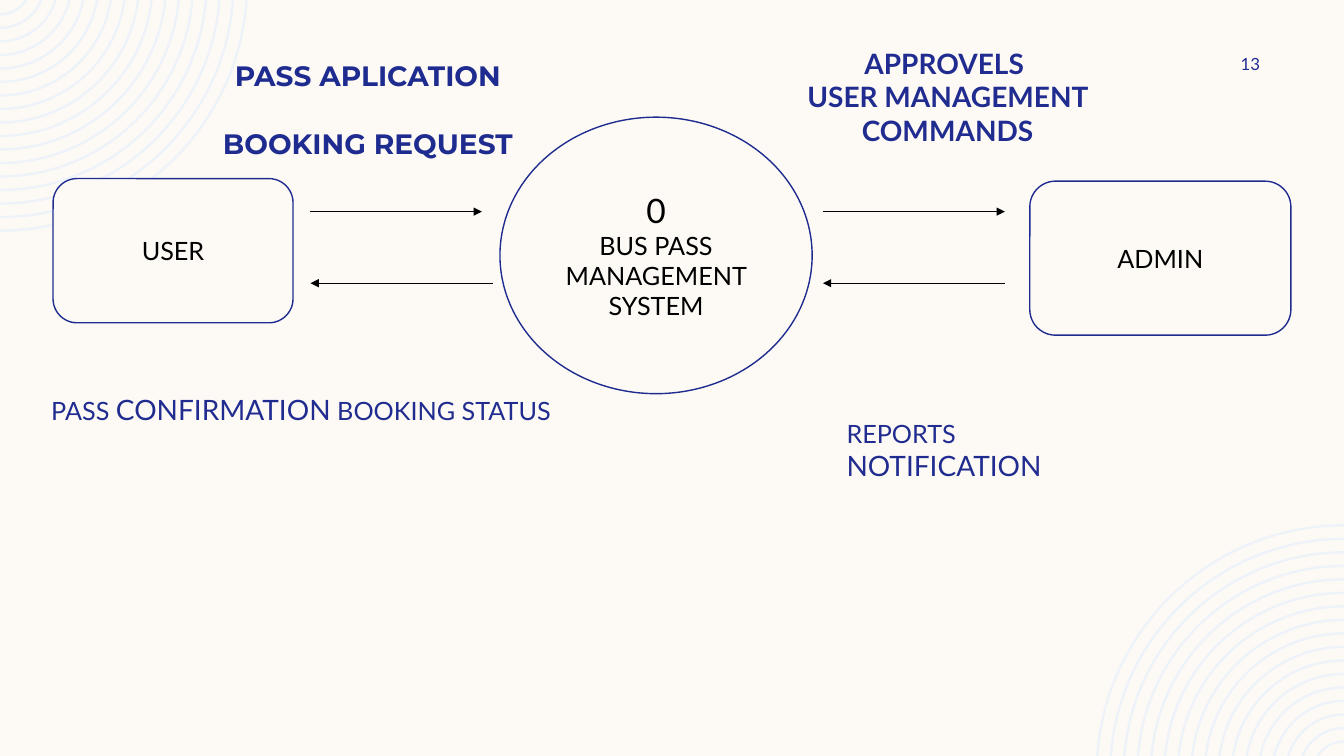
from dataclasses import dataclass
from math import asin, cos, pi, sin, tan

from lxml.etree import Element, SubElement
from pptx import Presentation
from pptx.dml.color import RGBColor
from pptx.enum.shapes import MSO_CONNECTOR, MSO_SHAPE
from pptx.enum.text import MSO_ANCHOR, MSO_AUTO_SIZE, PP_ALIGN
from pptx.oxml.ns import qn
from pptx.slide import Slide
from pptx.text.text import TextFrame
from pptx.util import Pt

WIDTH, HEIGHT = 960, 540
CREAM, NAVY, BLUE, BLACK, PALE = "FDFAF6", "1F2C8F", "202C8F", "000000", "EEF3FA"


@dataclass
class Run:
    text: str
    size: float
    color: str = BLUE
    bold: bool = False
    font: str = "Lato"


@dataclass
class Box:
    left: float
    top: float
    width: float
    height: float


@dataclass
class Node:
    box: Box
    outline: MSO_SHAPE
    paragraphs: list[list[Run]]


@dataclass
class Label:
    box: Box
    paragraphs: list[list[Run]]
    align: PP_ALIGN = PP_ALIGN.LEFT
    anchor: MSO_ANCHOR = MSO_ANCHOR.TOP
    line_spacing: float | None = None
    right_inset: float = 7.2
    grows: bool = False


@dataclass
class Arrow:
    start: float
    end: float
    y: float


def rgb(color: str) -> RGBColor:
    return RGBColor.from_string(color)


def write(frame: TextFrame, paragraphs: list[list[Run]], align: PP_ALIGN,
          anchor: MSO_ANCHOR, line_spacing: float | None = None) -> None:
    frame.word_wrap = True
    frame.vertical_anchor = anchor
    for index, runs in enumerate(paragraphs):
        paragraph = frame.add_paragraph() if index else frame.paragraphs[0]
        paragraph.alignment = align
        if line_spacing:
            paragraph.line_spacing = Pt(line_spacing)
        for item in runs:
            run = paragraph.add_run()
            run.text = item.text
            run.font.name = item.font
            run.font.size = Pt(item.size)
            run.font.bold = item.bold
            run.font.color.rgb = rgb(item.color)


def bend(side: Element, handles: list[tuple[float, float]]) -> None:
    """Turn a straight side into a curve; each handle is an offset from its end point."""
    ends = [side.getprevious()[-1], side[0]]
    side.tag = qn("a:cubicBezTo")
    for index, (end, (dx, dy)) in enumerate(zip(ends, handles)):
        control = Element(qn("a:pt"), x=str(int(end.get("x")) + Pt(dx)),
                          y=str(int(end.get("y")) + Pt(dy)))
        side.insert(index, control)


def draw_rings(slide: Slide, opposite_corner: bool) -> None:
    """Concentric arcs around a point just outside a slide corner."""
    center_y, outer_radius, step, thickness, count = -11.8, 177.4, 9.65, 1.75, 17
    sign = -1 if opposite_corner else 1
    corner_x, corner_y = (WIDTH, HEIGHT) if opposite_corner else (0, 0)

    def place(radius: float, angle: float) -> tuple[int, int]:
        return (Pt(corner_x + sign * radius * cos(angle)),
                Pt(corner_y + sign * (center_y + radius * sin(angle))))

    builder = None
    curves = []
    for ring in range(count):
        outer = outer_radius - ring * step
        corners = []
        for radius in (outer, outer - thickness):
            first = asin(-center_y / radius)
            reach = sign * radius * 4 / 3 * tan((pi / 2 - first) / 4)
            corners.append([place(radius, first), place(radius, pi / 2)])
            curves.append([(-reach * sin(first), reach * cos(first)), (reach, 0)])
        start, *others = corners[0] + corners[1][::-1]
        if builder is None:
            builder = slide.shapes.build_freeform(*start)
        else:
            builder.move_to(*start)
        builder.add_line_segments(others, close=True)
    rings = builder.convert_to_shape()

    # Of three sides per ring, the first and third are arcs
    sides = list(rings._element.iter(qn("a:lnTo")))
    for ring in range(count):
        bend(sides[3 * ring], curves[2 * ring])
        bend(sides[3 * ring + 2], curves[2 * ring + 1][::-1])
    rings.shadow.inherit = False
    rings.fill.solid()
    rings.fill.fore_color.rgb = rgb(PALE)
    rings.line.fill.background()


def draw_node(slide: Slide, node: Node) -> None:
    box = node.box
    shape = slide.shapes.add_shape(
        node.outline, Pt(box.left), Pt(box.top), Pt(box.width), Pt(box.height))
    shape.shadow.inherit = False
    shape.fill.solid()
    shape.fill.fore_color.rgb = rgb(CREAM)
    shape.line.color.rgb = rgb(NAVY)
    shape.line.width = Pt(1)
    write(shape.text_frame, node.paragraphs, PP_ALIGN.CENTER, MSO_ANCHOR.MIDDLE)


def draw_label(slide: Slide, label: Label) -> None:
    box = label.box
    frame = slide.shapes.add_textbox(
        Pt(box.left), Pt(box.top), Pt(box.width), Pt(box.height)).text_frame
    frame.margin_right = Pt(label.right_inset)
    write(frame, label.paragraphs, label.align, label.anchor, label.line_spacing)
    if label.grows:
        frame.auto_size = MSO_AUTO_SIZE.SHAPE_TO_FIT_TEXT


def draw_arrow(slide: Slide, arrow: Arrow) -> None:
    connector = slide.shapes.add_connector(
        MSO_CONNECTOR.STRAIGHT, Pt(arrow.start), Pt(arrow.y), Pt(arrow.end), Pt(arrow.y))
    connector.line.color.rgb = rgb(BLACK)
    connector.line.width = Pt(0.5)
    properties = connector._element.spPr
    SubElement(properties.find(qn("a:ln")), qn("a:tailEnd"), type="triangle")
    SubElement(properties, qn("a:effectLst"))


REQUEST_Y, REPLY_Y = 151.2, 202.3
# Heading and page number
HEADINGS = [
    Label(Box(142.6, 14.4, 240.5, 103),
          [[Run("PASS APLICATION BOOKING REQUEST", 20, NAVY, True, "Montserrat")]],
          PP_ALIGN.CENTER, MSO_ANCHOR.MIDDLE, line_spacing=48.8),
    Label(Box(822.2, 36, 77.8, 19.4), [[Run("13", 12, NAVY)]],
          PP_ALIGN.RIGHT, MSO_ANCHOR.MIDDLE, right_inset=0),
]
# The two parties and the system between them
NODES = [
    Node(Box(37.9, 127.6, 171.4, 103), MSO_SHAPE.ROUNDED_RECTANGLE, [[Run("USER", 18, BLACK)]]),
    Node(Box(735.6, 129.4, 186.5, 110), MSO_SHAPE.ROUNDED_RECTANGLE, [[Run("ADMIN", 18, BLACK)]]),
    Node(Box(357.1, 83.7, 223, 197.5), MSO_SHAPE.FLOWCHART_CONNECTOR,
         [[Run("0", 24, BLACK)], [Run("BUS PASS MANAGEMENT SYSTEM", 18, BLACK)]]),
]
ARROWS = [Arrow(221.8, 344.2, REQUEST_Y), Arrow(587.8, 717.8, REQUEST_Y),
          Arrow(352.1, 221.8, REPLY_Y), Arrow(717.8, 587.8, REPLY_Y)]
# What flows along the arrows
FLOWS = [
    Label(Box(531.4, 29.5, 290.9, 80),
          [[Run("APPROVELS ", 20, bold=True)], [Run("USER MANAGEMENT COMMANDS", 20, bold=True)]],
          PP_ALIGN.CENTER, grows=True),
    Label(Box(597.6, 295.2, 213.8, 53.3),
          [[Run("REPORTS ", 18), Run("NOTIFICATION", 20)]], grows=True),
    Label(Box(29.5, 276.5, 383.8, 31.7),
          [[Run("PASS ", 18), Run("CONFIRMATION", 20), Run(" BOOKING STATUS", 18)]], grows=True),
]


def main() -> None:
    deck = Presentation()
    deck.slide_width, deck.slide_height = Pt(WIDTH), Pt(HEIGHT)
    slide = deck.slides.add_slide(deck.slide_layouts[6])
    slide.background.fill.solid()
    slide.background.fill.fore_color.rgb = rgb(CREAM)
    for opposite_corner in (False, True):
        draw_rings(slide, opposite_corner)
    for draw, parts in ((draw_label, HEADINGS), (draw_node, NODES),
                        (draw_arrow, ARROWS), (draw_label, FLOWS)):
        for part in parts:
            draw(slide, part)
    deck.save("out.pptx")


if __name__ == "__main__":
    main()
